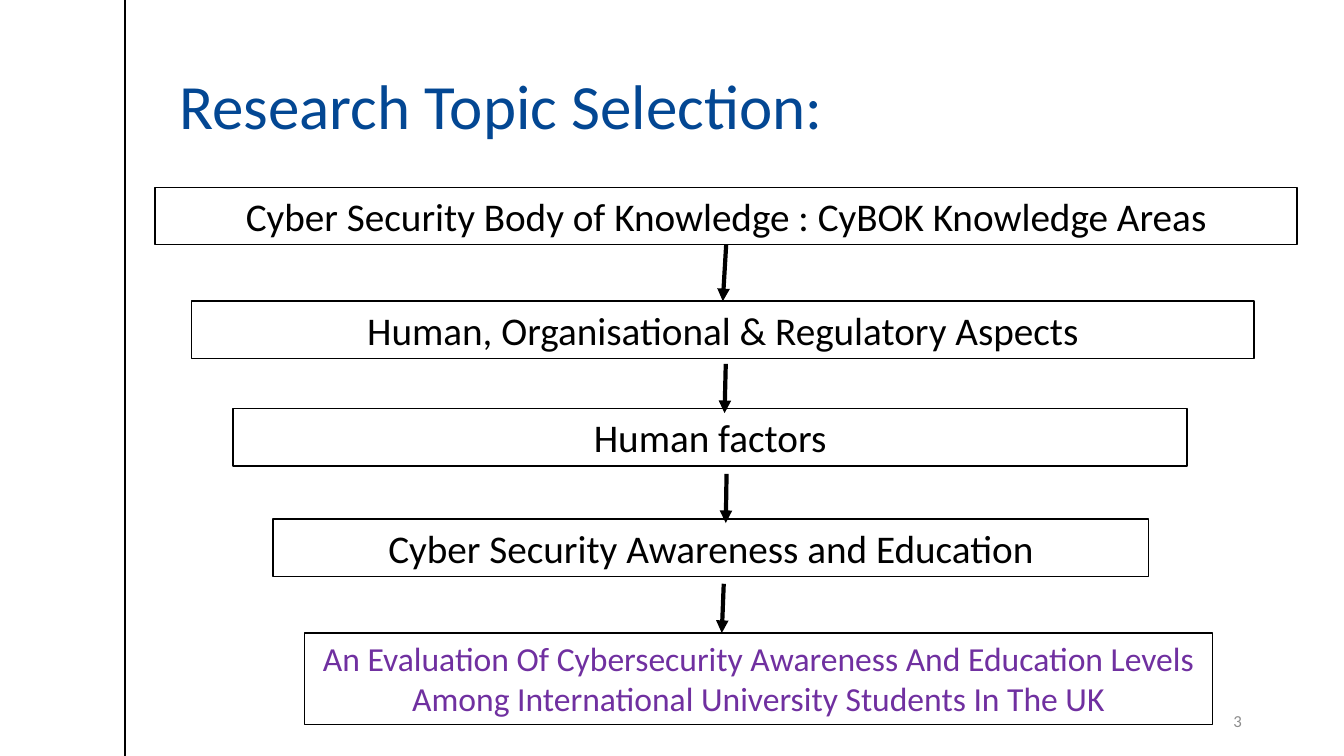
from lxml.etree import SubElement
from pptx import Presentation
from pptx.dml.color import RGBColor
from pptx.enum.shapes import MSO_CONNECTOR, MSO_SHAPE
from pptx.enum.text import MSO_ANCHOR, MSO_AUTO_SIZE, PP_ALIGN
from pptx.oxml.ns import qn
from pptx.util import Cm, Pt

WHITE = RGBColor(0xFF, 0xFF, 0xFF)
BLACK = RGBColor(0x00, 0x00, 0x00)
BLUE = RGBColor(0x03, 0x47, 0x93)
PURPLE = RGBColor(0x70, 0x30, 0xA0)
GREY = RGBColor(0x8C, 0x8C, 0x8C)

# Left, top, width, height in cm, then text, size and colour
TOPICS = [
    (3.91, 4.72, 28.78, 1.45,
     "Cyber Security Body of Knowledge : CyBOK Knowledge Areas", 28, BLACK),
    (4.83, 7.59, 26.77, 1.45,
     "Human, Organisational & Regulatory Aspects", 28, BLACK),
    (5.87, 10.29, 24.05, 1.45, "Human factors", 28, BLACK),
    (6.88, 13.08, 22.07, 1.45,
     "Cyber Security Awareness and Education", 28, BLACK),
    (7.67, 15.95, 22.89, 2.31,
     "An Evaluation Of Cybersecurity Awareness And Education Levels "
     "Among International University Students In The UK", 24, PURPLE),
]

# Start x, start y, end x, end y in cm
LOOSE_ARROWS = [
    (18.29, 9.17, 18.26, 10.41),
    (18.31, 11.94, 18.29, 13.18),
    (18.24, 14.71, 18.19, 15.95),
]


def write_text(shape, text, size, color, alignment, anchor):
    frame = shape.text_frame
    frame.word_wrap = True
    frame.vertical_anchor = anchor
    paragraph = frame.paragraphs[0]
    paragraph.text = text
    paragraph.alignment = alignment
    paragraph.font.name = "Calibri"
    paragraph.font.size = Pt(size)
    paragraph.font.color.rgb = color
    return frame


def add_label(slide, box, text, size, color, alignment, anchor):
    shape = slide.shapes.add_textbox(*map(Cm, box))
    return write_text(shape, text, size, color, alignment, anchor)


def add_topic(slide, left, top, width, height, text, size, color):
    shape = slide.shapes.add_shape(
        MSO_SHAPE.RECTANGLE, Cm(left), Cm(top), Cm(width), Cm(height))
    shape.shadow.inherit = False
    shape.fill.solid()
    shape.fill.fore_color.rgb = WHITE
    shape.line.color.rgb = BLACK
    shape.line.width = Pt(1)
    frame = write_text(shape, text, size, color, PP_ALIGN.CENTER, MSO_ANCHOR.TOP)
    frame.auto_size = MSO_AUTO_SIZE.SHAPE_TO_FIT_TEXT
    return shape


def add_line(slide, ends, width):
    line = slide.shapes.add_connector(MSO_CONNECTOR.STRAIGHT, *map(Cm, ends))
    line.line.color.rgb = BLACK
    line.line.width = Pt(width)
    SubElement(line._element.spPr, qn("a:effectLst"))
    return line


def add_arrow(slide, ends):
    arrow = add_line(slide, ends, 3)
    SubElement(arrow.line._get_or_add_ln(), qn("a:tailEnd"), type="triangle")
    return arrow


def main():
    presentation = Presentation()
    presentation.slide_width = Cm(33.87)
    presentation.slide_height = Cm(19.05)
    slide = presentation.slides.add_slide(presentation.slide_layouts[6])

    add_line(slide, (3.15, 0, 3.15, 19.05), 1)
    title = add_label(slide, (4.52, 0.94, 28.14, 2.79), "Research Topic Selection:",
                      45, BLUE, PP_ALIGN.LEFT, MSO_ANCHOR.BOTTOM)
    title.margin_left = title.margin_right = 0
    title.paragraphs[0].line_spacing = 0.9

    topics = [add_topic(slide, *topic) for topic in TOPICS]
    first_arrow = add_arrow(slide, (18.3, 6.17, 18.26, 7.59))
    first_arrow.begin_connect(topics[0], 2)
    first_arrow.end_connect(topics[1], 0)
    for ends in LOOSE_ARROWS:
        add_arrow(slide, ends)

    add_label(slide, (23.93, 17.65, 7.62, 1.02), "3",
              12, GREY, PP_ALIGN.RIGHT, MSO_ANCHOR.MIDDLE)
    presentation.save("out.pptx")


if __name__ == "__main__":
    main()
